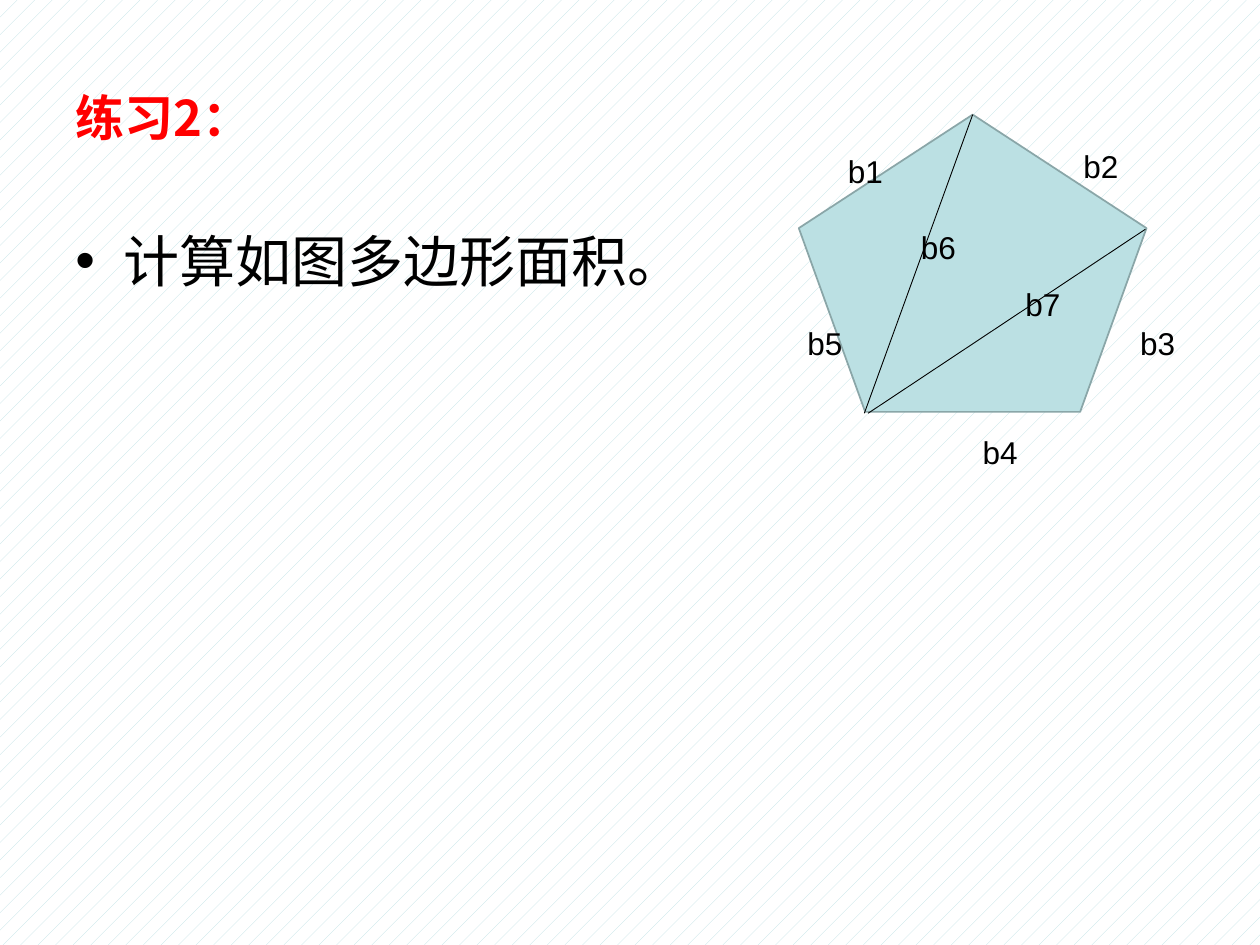
from typing import NamedTuple

from lxml.etree import SubElement
from pptx import Presentation
from pptx.dml.color import RGBColor
from pptx.enum.dml import MSO_PATTERN
from pptx.enum.shapes import MSO_CONNECTOR, MSO_SHAPE
from pptx.enum.text import MSO_ANCHOR, MSO_AUTO_SIZE, PP_ALIGN
from pptx.oxml.ns import qn
from pptx.util import Inches, Pt

CJK = "Noto Sans CJK SC"


class Label(NamedTuple):
    text: str
    x: float
    y: float


class Diagonal(NamedTuple):
    x1: float
    y1: float
    x2: float
    y2: float


LABELS = [
    Label("b1", 6.63, 1.16), Label("b2", 8.5, 1.12), Label("b3", 8.95, 2.52),
    Label("b4", 7.7, 3.39), Label("b5", 6.31, 2.52), Label("b6", 7.21, 1.76),
    Label("b7", 8.04, 2.21),
]
DIAGONALS = [Diagonal(7.72, 0.91, 6.86, 3.28), Diagonal(6.89, 3.28, 9.09, 1.82)]


def rgb(color: str) -> RGBColor:
    return RGBColor.from_string(color)


def write(sp, text: str, *, size: float, font: str = "Arial", color: str = "000000",
          bold: bool = False, wrap: bool = True, anchor=MSO_ANCHOR.TOP):
    """Fill a shape with one left-aligned paragraph and return it."""
    tf = sp.text_frame
    tf.word_wrap = wrap
    tf.vertical_anchor = anchor
    p = tf.paragraphs[0]
    p.alignment = PP_ALIGN.LEFT
    r = p.add_run()
    r.text = text
    r.font.name, r.font.size, r.font.bold = font, Pt(size), bold
    r.font.color.rgb = rgb(color)
    # East Asian glyphs take their own typeface
    SubElement(r.font._element, qn("a:ea")).set("typeface", font)
    return p


def add_bullet(p, indent: float) -> None:
    pPr = p._p.get_or_add_pPr()
    pPr.set("marL", str(Inches(indent)))
    pPr.set("indent", str(-Inches(indent)))
    SubElement(pPr, qn("a:buFont")).set("typeface", "Arial")
    SubElement(pPr, qn("a:buChar")).set("char", "•")


def add_label(s, label: Label) -> None:
    sp = s.shapes.add_textbox(Inches(label.x), Inches(label.y), Inches(0.48), Inches(0.4))
    write(sp, label.text, size=18, wrap=False)
    sp.text_frame.auto_size = MSO_AUTO_SIZE.SHAPE_TO_FIT_TEXT


def add_diagonal(s, d: Diagonal) -> None:
    line = s.shapes.add_connector(MSO_CONNECTOR.STRAIGHT, *(Inches(v) for v in d))
    line.line.color.rgb = rgb("000000")
    line.line.width = Pt(0.5)
    SubElement(line._element.spPr, qn("a:effectLst"))


def main() -> None:
    prs = Presentation()
    prs.slide_width, prs.slide_height = Inches(10), Inches(7.5)
    s = prs.slides.add_slide(prs.slide_layouts[5])

    # Patterned background
    fill = s.background.fill
    fill.patterned()
    fill.pattern = MSO_PATTERN.PERCENT_5
    fill.fore_color.rgb = rgb("BBE0E3")
    fill.back_color.rgb = rgb("FFFFFF")

    # Title and exercise text
    title = s.shapes.title
    title.left, title.top = Inches(0.5), Inches(0.3)
    title.width, title.height = Inches(9), Inches(1.25)
    write(title, "练习2：", size=28, font=CJK, color="FF0000", bold=True,
          anchor=MSO_ANCHOR.MIDDLE)
    body = s.shapes.add_textbox(Inches(0.5), Inches(1.75), Inches(9), Inches(4.95))
    add_bullet(write(body, "计算如图多边形面积。", size=32, font=CJK), 0.38)

    # Pentagon split into triangles
    pentagon = s.shapes.add_shape(MSO_SHAPE.REGULAR_PENTAGON, Inches(6.34), Inches(0.91),
                                  Inches(2.76), Inches(2.36))
    pentagon.shadow.inherit = False
    pentagon.fill.solid()
    pentagon.fill.fore_color.rgb = rgb("BBE0E3")
    pentagon.line.color.rgb = rgb("8AA6A8")
    pentagon.line.width = Pt(1)
    for diagonal in DIAGONALS:
        add_diagonal(s, diagonal)
    for label in LABELS:
        add_label(s, label)

    prs.save("out.pptx")


if __name__ == "__main__":
    main()
